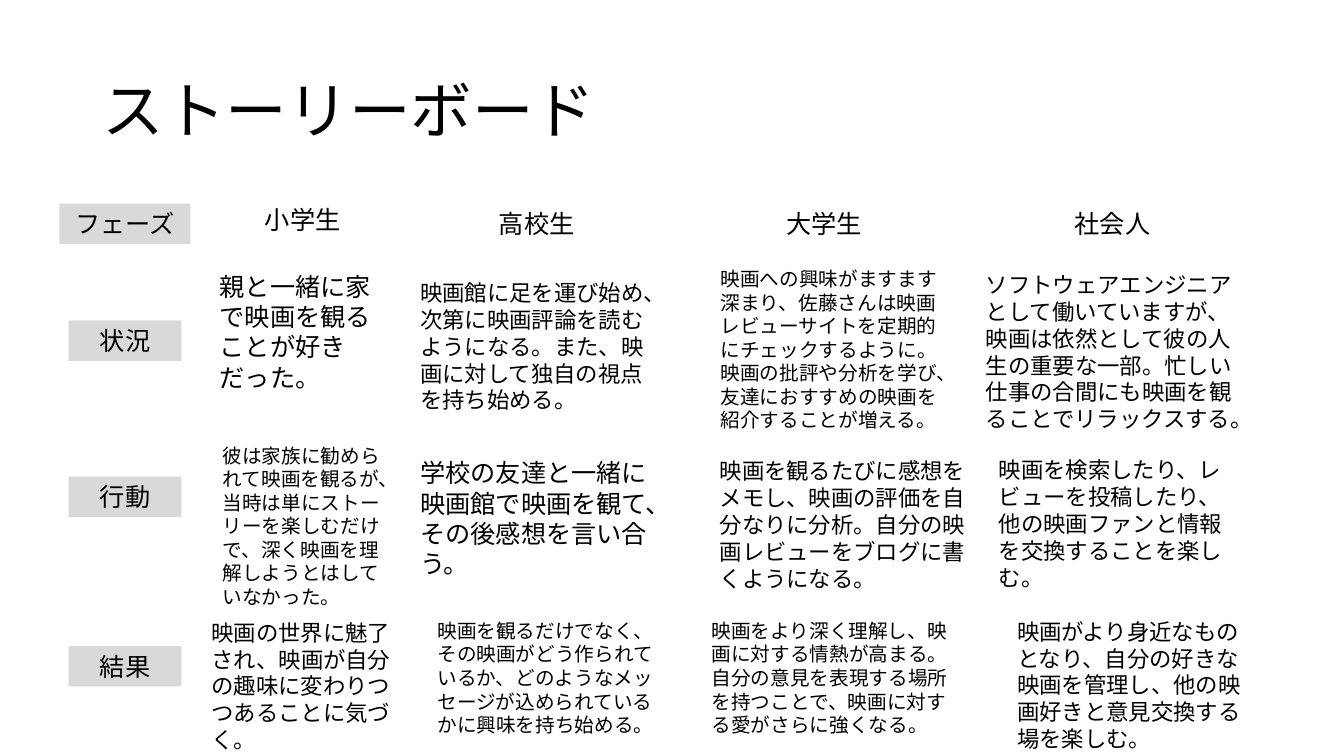
"""Build the storyboard slide: four phases of life against three themes."""
from dataclasses import dataclass

from pptx import Presentation
from pptx.dml.color import RGBColor as RGB
from pptx.enum.lang import MSO_LANGUAGE_ID as Lang
from pptx.enum.shapes import MSO_SHAPE as Kind
from pptx.enum.text import MSO_ANCHOR as Anchor
from pptx.enum.text import MSO_AUTO_SIZE as Fit
from pptx.enum.text import PP_ALIGN as Align
from pptx.oxml.xmlchemy import OxmlElement as Node
from pptx.util import Emu, Pt

SCALE = 9144


@dataclass(frozen=True)
class Theme:
    font: str = "Noto Sans CJK JP"
    ink: RGB = RGB(0, 0, 0)
    tag: RGB = RGB(0xD9, 0xD9, 0xD9)
    title: int = 44
    head: int = 18
    large: int = 18
    mid: int = 16
    small: int = 14


THEME = Theme()

TAGS = [
    ("フェーズ", 59, 202, 130),
    ("状況", 68, 318, 112),
    ("行動", 68, 473, 112),
    ("結果", 68, 641, 112),
]

HEADS = [
    ("小学生", 253, 198, 103),
    ("高校生", 485, 202, 102),
    ("大学生", 770, 202, 102),
    ("社会人", 1056, 202, 114),
]

NOTES = [
    ("親と一緒に家で映画を観ることが好きだった。",
     (208, 264, 194, 131), THEME.large),
    ("彼は家族に勧められて映画を観るが、当時は単にストーリーを楽しむだけで、"
     "深く映画を理解しようとはしていなかった。",
     (211, 435, 191, 175), THEME.small),
    ("映画の世界に魅了され、映画が自分の趣味に変わりつつあることに気づく。",
     (200, 609, 219, 145), THEME.mid),
    ("映画館に足を運び始め、次第に映画評論を読むようになる。また、"
     "映画に対して独自の視点を持ち始める。",
     (407, 272, 247, 145), THEME.mid),
    ("学校の友達と一緒に映画館で映画を観て、その後感想を言い合う。",
     (407, 449, 247, 131), THEME.large),
    ("映画を観るだけでなく、その映画がどう作られているか、"
     "どのようなメッセージが込められているかに興味を持ち始める。",
     (424, 609, 247, 128), THEME.small),
    ("映画への興味がますます深まり、佐藤さんは映画レビューサイトを定期的に"
     "チェックするように。映画の批評や分析を学び、"
     "友達におすすめの映画を紹介することが増える。",
     (705, 260, 246, 175), THEME.small),
    ("映画を観るたびに感想をメモし、映画の評価を自分なりに分析。"
     "自分の映画レビューをブログに書くようになる。",
     (704, 449, 264, 145), THEME.mid),
    ("映画をより深く理解し、映画に対する情熱が高まる。"
     "自分の意見を表現する場所を持つことで、映画に対する愛がさらに強くなる。",
     (696, 609, 264, 128), THEME.small),
    ("ソフトウェアエンジニアとして働いていますが、"
     "映画は依然として彼の人生の重要な一部。"
     "忙しい仕事の合間にも映画を観ることでリラックスする。",
     (968, 264, 274, 172), THEME.mid),
    ("映画を検索したり、レビューを投稿したり、"
     "他の映画ファンと情報を交換することを楽しむ。",
     (981, 448, 247, 145), THEME.mid),
    ("映画がより身近なものとなり、自分の好きな映画を管理し、"
     "他の映画好きと意見交換する場を楽しむ。",
     (999, 608, 247, 145), THEME.mid),
]


def px(*sizes):
    """Turn px lengths into EMU."""
    return [Emu(size * SCALE) for size in sizes]


def write(shape, text, *, size, align=Align.LEFT, anchor=Anchor.TOP,
          space=1.0, fit=Fit.SHAPE_TO_FIT_TEXT):
    """Put formatted text into a shape."""
    frame = shape.text_frame
    frame.word_wrap = True
    frame.auto_size = fit
    frame.vertical_anchor = anchor
    para = frame.paragraphs[0]
    para.alignment = align
    para.line_spacing = space
    run = para.add_run()
    run.text = text
    font = run.font
    font.size = Pt(size)
    font.name = THEME.font
    font.color.rgb = THEME.ink
    font.language_id = Lang.JAPANESE
    east = Node("a:ea")
    east.set("typeface", THEME.font)
    run._r.get_or_add_rPr().append(east)


def add_note(slide, text, box, **form):
    """Add a plain text box."""
    write(slide.shapes.add_textbox(*px(*box)), text, **form)


def add_tag(slide, text, box):
    """Add a grey row label."""
    shape = slide.shapes.add_shape(Kind.RECTANGLE, *px(*box))
    shape.shadow.inherit = False
    shape.fill.solid()
    shape.fill.fore_color.rgb = THEME.tag
    shape.line.fill.background()
    write(shape, text, size=THEME.head, align=Align.CENTER)


def main():
    """Draw and save the slide."""
    deck = Presentation()
    deck.slide_width, deck.slide_height = px(1333, 750)
    slide = deck.slides.add_slide(deck.slide_layouts[6])
    add_note(slide, "ストーリーボード", (92, 40, 1150, 145), size=THEME.title,
             anchor=Anchor.MIDDLE, space=0.9, fit=Fit.NONE)
    for text, left, top, width in TAGS:
        add_tag(slide, text, (left, top, width, 40))
    for text, left, top, width in HEADS:
        add_note(slide, text, (left, top, width, 40), size=THEME.head)
    for text, box, size in NOTES:
        add_note(slide, text, box, size=size)
    deck.save("out.pptx")


if __name__ == "__main__":
    main()
